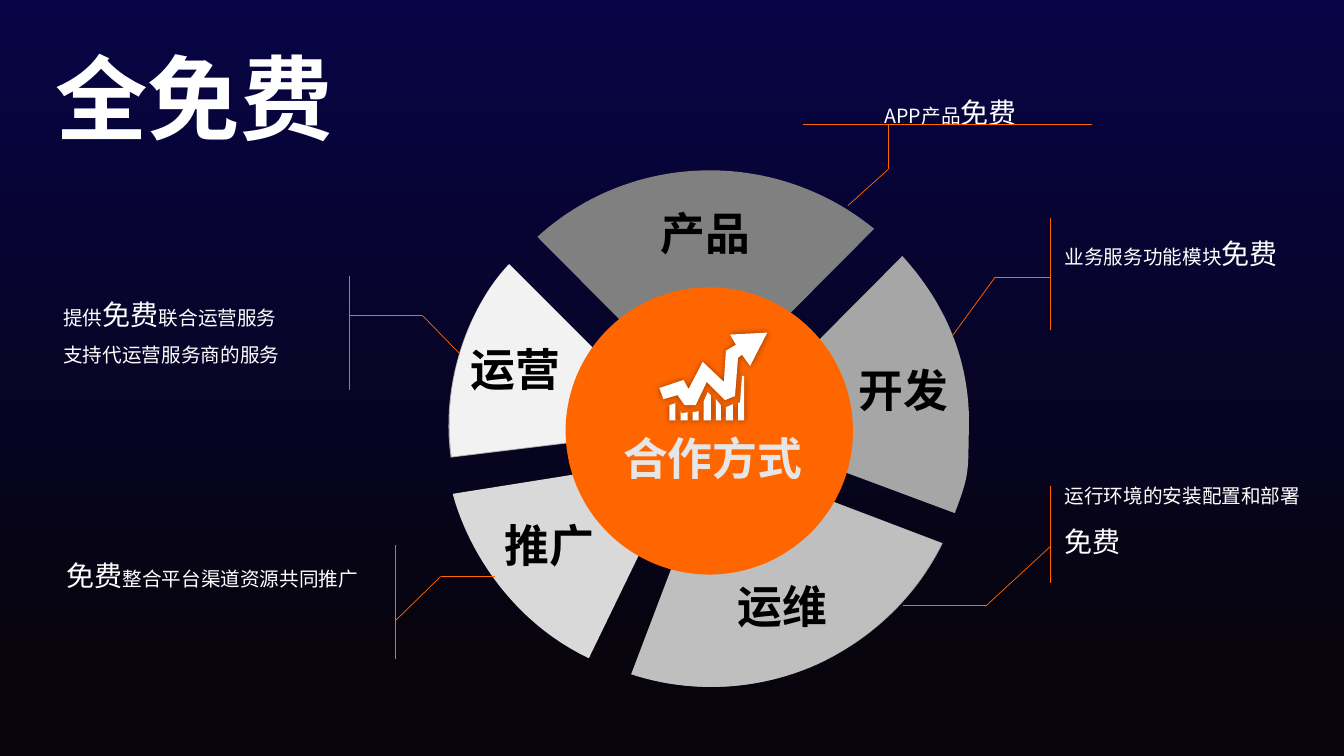
from dataclasses import dataclass
from typing import Optional

from lxml import etree
from pptx import Presentation
from pptx.dml.color import RGBColor
from pptx.enum.shapes import MSO_CONNECTOR, MSO_SHAPE
from pptx.enum.text import MSO_ANCHOR, MSO_AUTO_SIZE, PP_ALIGN
from pptx.oxml.ns import qn
from pptx.util import Emu, Inches, Pt

Point = tuple[float, float]
Box = tuple[float, float, float, float]
Run = tuple[str, int]

LEFT, CENTER = PP_ALIGN.LEFT, PP_ALIGN.CENTER
STRAIGHT, OVAL = MSO_CONNECTOR.STRAIGHT, MSO_SHAPE.OVAL
MIDDLE, FIXED_SIZE = MSO_ANCHOR.MIDDLE, MSO_AUTO_SIZE.NONE

NAVY = RGBColor(0x07, 0x04, 0x46)
NIGHT = RGBColor(0x07, 0x04, 0x0E)
ORANGE = RGBColor(0xFF, 0x66, 0x00)
WHITE = RGBColor(0xFF, 0xFF, 0xFF)
BLACK = RGBColor(0x00, 0x00, 0x00)
PALE = RGBColor(0xE7, 0xE6, 0xE6)
GRAY_50 = RGBColor(0x80, 0x80, 0x80)
GRAY_65 = RGBColor(0xA6, 0xA6, 0xA6)
GRAY_75 = RGBColor(0xBF, 0xBF, 0xBF)
GRAY_85 = RGBColor(0xD9, 0xD9, 0xD9)
GRAY_95 = RGBColor(0xF2, 0xF2, 0xF2)

FONT = "Noto Sans CJK SC"
COLUMNS, ROWS = 1333, 750
CELL = Inches(7.5) // ROWS
BODY, STRESS, LABEL, HEADLINE = 14, 20, 32, 66
LABEL_SIZE = (110, 64)
ARC_STEPS = 24


@dataclass
class Sector:
    """A ring sector, its label, and the leader line to its note, in grid cells."""
    label: str
    label_at: Point
    color: RGBColor
    apex: Point
    start: Point
    arcs: list[tuple[Point, Point, Point]]
    note_box: Box
    note: list[list[Run]]
    bar: list[Point]
    leader: list[Point]
    note_align: PP_ALIGN = LEFT
    note_spacing: float = 1.5
    backing_shift: Optional[Point] = None


SECTORS = [
    Sector("产品", (645, 199), GRAY_50, (696, 399), (867, 227),
           [((823, 191), (766, 169), (704, 169)), ((638, 169), (578, 194), (533, 235))],
           (796, 89, 294, 44), [[("APP产品", BODY), ("免费", STRESS)]],
           [(796, 123), (1083, 123)], [(881, 123), (881, 168), (841, 204)],
           note_align=CENTER, note_spacing=1.0),
    Sector("开发", (841, 354), GRAY_65, (724, 426), (947, 509),
           [((962, 470), (960, 468), (961, 426)), ((963, 356), (936, 299), (895, 254))],
           (1046, 215, 269, 55), [[("业务服务功能模块", BODY), ("免费", STRESS)]],
           [(1042, 216), (1042, 327)], [(1042, 275), (987, 275), (944, 334)]),
    Sector("运维", (721, 569), GRAY_75, (708, 453), (626, 669),
           [((684, 688), (750, 686), (810, 659)), ((866, 633), (909, 590), (934, 539))],
           (1046, 466, 269, 90), [[("运行环境的安装配置和部署", BODY), ("免费", STRESS)]],
           [(1042, 482), (1042, 578)], [(1042, 542), (978, 601), (896, 601)],
           backing_shift=(1, 0)),
    Sector("运营", (456, 334), GRAY_95, (669, 426), (505, 262),
           [((470, 299), (437, 372), (448, 453))],
           (53, 275, 310, 92),
           [[("提供", BODY), ("免费", STRESS), ("联合运营服务", BODY)],
            [("支持代运营服务商的服务", BODY)]],
           [(347, 274), (347, 387)], [(347, 313), (419, 313), (456, 351)],
           backing_shift=(-1, 1)),
    Sector("推广", (490, 508), GRAY_85, (681, 453), (449, 490),
           [((465, 549), (510, 618), (584, 653))],
           (56, 535, 335, 55), [[("免费", STRESS), ("整合平台渠道资源共同推广", BODY)]],
           [(392, 541), (392, 654)], [(392, 616), (437, 572), (491, 572)]),
]

GROWTH_ICON = [
    [(732, 417), (738, 417), (738, 373), (736, 373), (734, 399), (732, 400)],
    [(761, 330), (744, 363), (736, 352), (732, 355), (729, 393), (719, 397), (701, 379),
     (690, 402), (679, 402), (672, 392), (658, 396), (654, 385), (678, 377), (683, 386),
     (697, 359), (718, 379), (720, 348), (730, 342), (724, 332)],
    [(675, 417), (682, 417), (682, 409), (676, 410), (675, 408)],
    [(664, 417), (670, 417), (670, 400), (664, 402)],
    [(687, 417), (693, 417), (693, 408), (687, 409)],
    [(698, 417), (705, 417), (705, 392), (702, 389), (698, 398)],
    [(710, 417), (715, 417), (715, 402), (710, 396)],
    [(720, 417), (727, 417), (727, 401), (720, 404)],
]


def cells(*values: float) -> list[Emu]:
    return [Emu(round(value * CELL)) for value in values]


def write(shape, paragraphs: list[list[Run]], *, color: RGBColor = WHITE, bold: bool = False,
          align: PP_ALIGN = LEFT, spacing: float = 1.0, wrap: bool = False) -> None:
    frame = shape.text_frame
    frame.auto_size = FIXED_SIZE
    frame.word_wrap = wrap
    frame.vertical_anchor = MIDDLE
    for index, runs in enumerate(paragraphs):
        paragraph = frame.add_paragraph() if index else frame.paragraphs[0]
        paragraph.alignment = align
        paragraph.line_spacing = spacing
        for text, size in runs:
            run = paragraph.add_run()
            run.text = text
            run.font.size = Pt(size)
            run.font.bold = bold
            run.font.color.rgb = color
            run.font.name = FONT
            etree.SubElement(run._r.get_or_add_rPr(), qn("a:ea"), typeface=FONT)


def paint(shape, color: RGBColor) -> None:
    shape.shadow.inherit = False
    shape.fill.solid()
    shape.fill.fore_color.rgb = color
    shape.line.fill.background()


def add_outline(slide, contours: list[list[Point]], color: RGBColor):
    builder = None
    for contour in contours:
        start, *rest = [cells(*point) for point in contour]
        if builder is None:
            builder = slide.shapes.build_freeform(*start)
        else:
            builder.move_to(*start)
        builder.add_line_segments(rest, close=True)
    shape = builder.convert_to_shape()
    paint(shape, color)
    return shape


def arc_points(start: Point, first: Point, second: Point, end: Point) -> list[Point]:
    """Points along a cubic curve, without its start."""
    points = []
    for step in range(1, ARC_STEPS + 1):
        t = step / ARC_STEPS
        weights = ((1 - t) ** 3, 3 * t * (1 - t) ** 2, 3 * t * t * (1 - t), t ** 3)
        x, y = (sum(w * v for w, v in zip(weights, axis))
                for axis in zip(start, first, second, end))
        points.append((x, y))
    return points


def add_wedge(slide, sector: Sector, color: RGBColor, shift: Point = (0, 0)) -> None:
    outline = [sector.apex, sector.start]
    for arc in sector.arcs:
        outline += arc_points(outline[-1], *arc)
    add_outline(slide, [[(x + shift[0], y + shift[1]) for x, y in outline]], color)


def add_path(slide, points: list[Point]) -> None:
    for start, end in zip(points, points[1:]):
        line = slide.shapes.add_connector(STRAIGHT, *cells(*start, *end))
        line.line.color.rgb = ORANGE
        line.line.width = Pt(0.5)
        etree.SubElement(line._element.spPr, qn("a:effectLst"))


def add_sector(slide, sector: Sector) -> None:
    add_wedge(slide, sector, sector.color)
    label = slide.shapes.add_textbox(*cells(*sector.label_at, *LABEL_SIZE))
    write(label, [[(sector.label, LABEL)]], color=BLACK, bold=True, align=CENTER)
    note = slide.shapes.add_textbox(*cells(*sector.note_box))
    write(note, sector.note, align=sector.note_align, spacing=sector.note_spacing, wrap=True)
    add_path(slide, sector.bar)
    add_path(slide, sector.leader)


def add_glow(shape) -> None:
    """Soft black shadow on all sides."""
    effects = shape._element.spPr.find(qn("a:effectLst"))
    shadow = etree.SubElement(effects, qn("a:outerShdw"), blurRad=str(Pt(5)), dist="0",
                              algn="ctr", rotWithShape="0")
    black = etree.SubElement(shadow, qn("a:srgbClr"), val=str(BLACK))
    etree.SubElement(black, qn("a:alpha"), val="40000")


def add_hub(slide) -> None:
    paint(slide.shapes.add_shape(OVAL, *cells(561, 285, 285, 285)), ORANGE)
    caption = slide.shapes.add_textbox(*cells(607, 422, 200, 64))
    write(caption, [[("合作方式", LABEL)]], color=PALE, bold=True, align=CENTER)
    add_glow(add_outline(slide, GROWTH_ICON, WHITE))


def main() -> None:
    deck = Presentation()
    deck.slide_width, deck.slide_height = cells(COLUMNS, ROWS)
    slide = deck.slides.add_slide(deck.slide_layouts[5])

    backdrop = slide.background.fill
    backdrop.gradient()
    backdrop.gradient_angle = 270
    for stop, color, position in zip(backdrop.gradient_stops, (NAVY, NIGHT), (0, 0.87)):
        stop.color.rgb = color
        stop.position = position

    title = slide.shapes.title
    title.left, title.top, title.width, title.height = cells(45, 35, 298, 121)
    write(title, [[("全免费", HEADLINE)]], bold=True)

    for sector in SECTORS:
        if sector.backing_shift:
            add_wedge(slide, sector, GRAY_65, sector.backing_shift)
    for sector in SECTORS:
        add_sector(slide, sector)
    add_hub(slide)
    deck.save("out.pptx")


if __name__ == "__main__":
    main()
